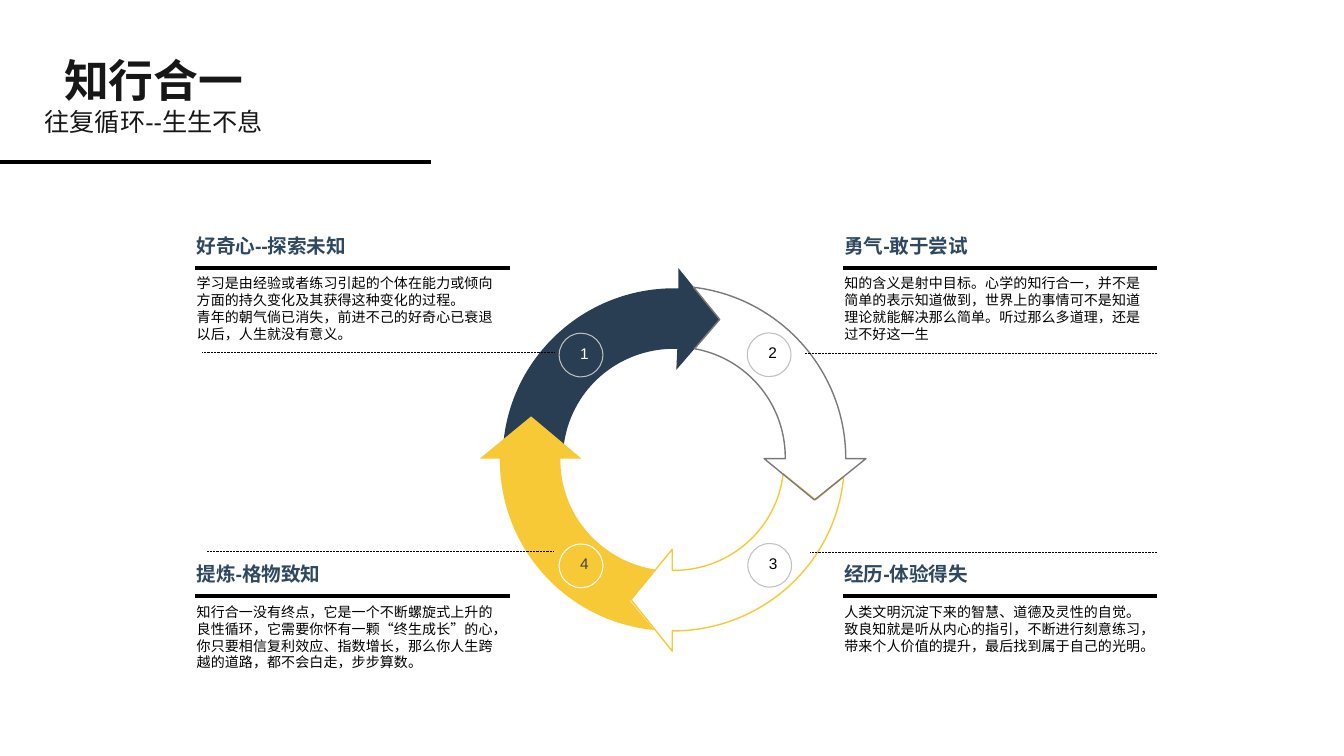
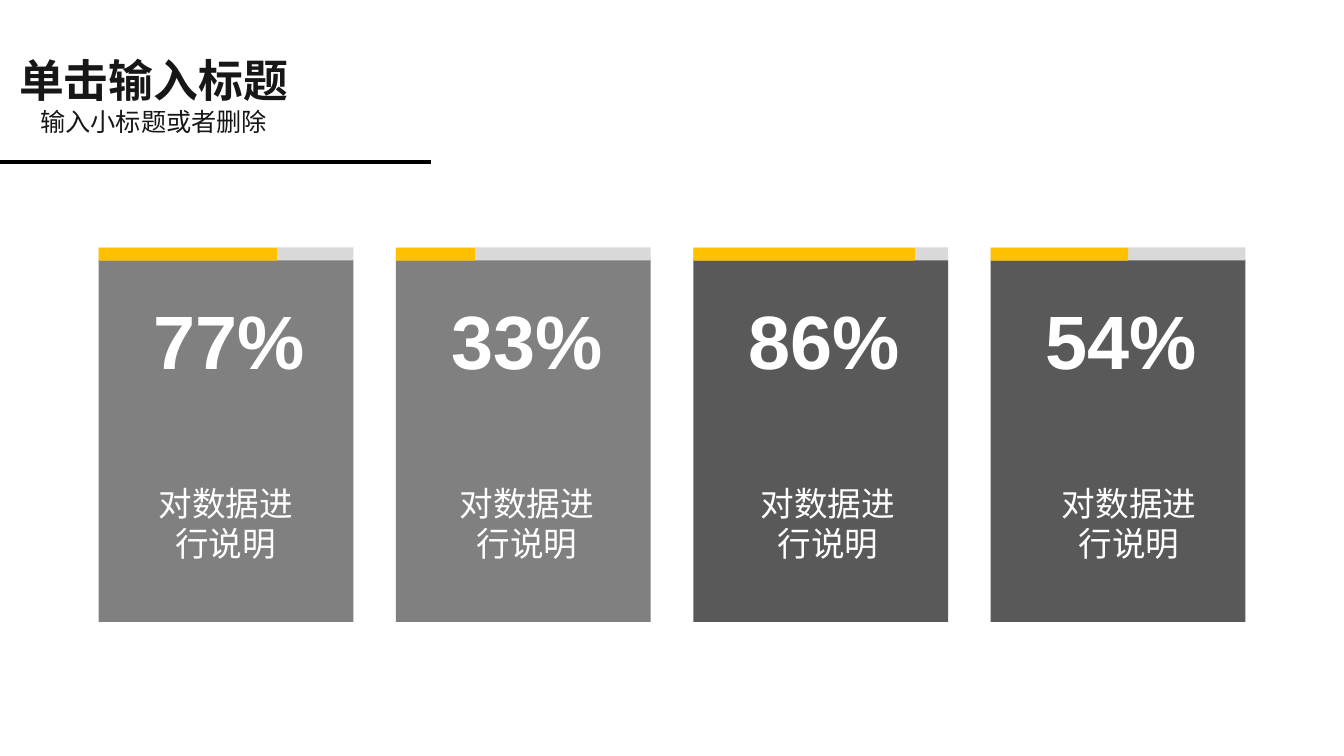
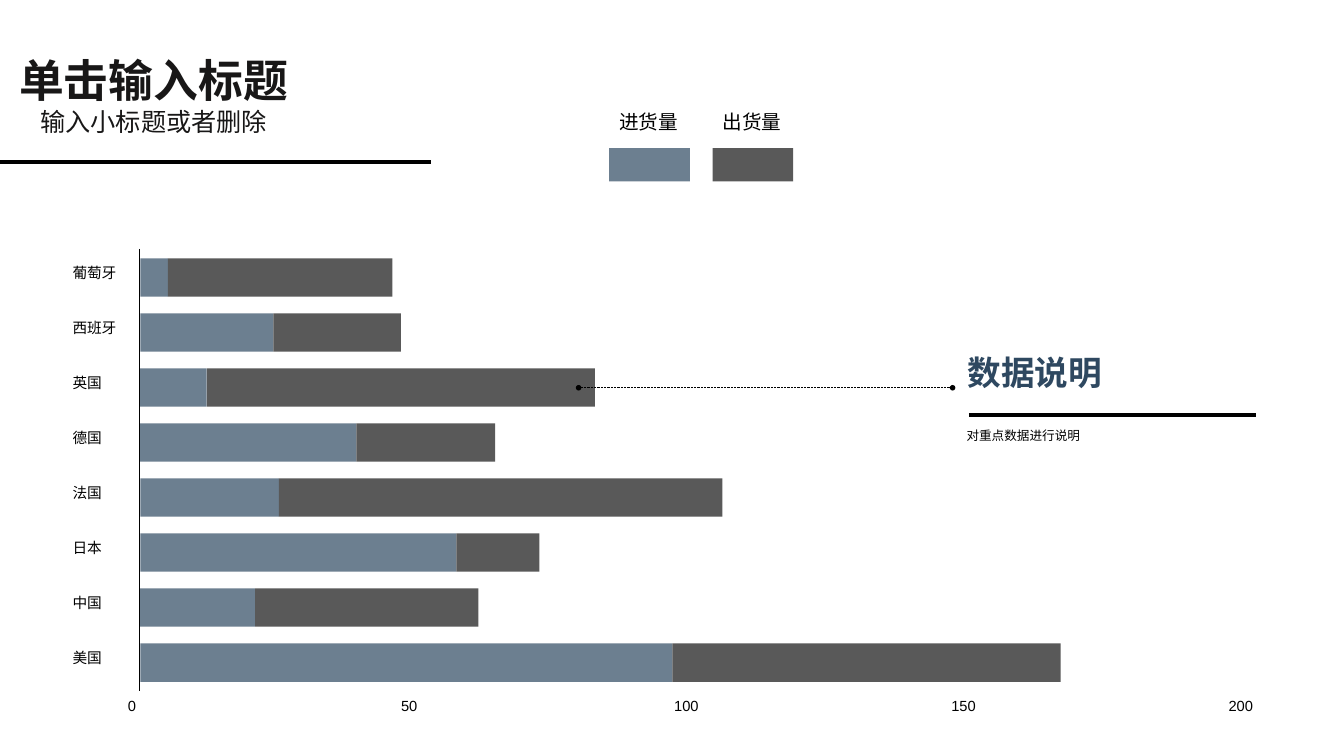
from lxml import etree
from pptx import Presentation
from pptx.dml.color import RGBColor
from pptx.enum.dml import MSO_LINE
from pptx.enum.lang import MSO_LANGUAGE_ID
from pptx.enum.shapes import MSO_CONNECTOR, MSO_SHAPE
from pptx.enum.text import MSO_ANCHOR, MSO_AUTO_SIZE, PP_ALIGN
from pptx.oxml.ns import qn
from pptx.util import Pt

RECT, OVAL = MSO_SHAPE.RECTANGLE, MSO_SHAPE.OVAL
STRAIGHT = MSO_CONNECTOR.STRAIGHT
DOTTED = MSO_LINE.ROUND_DOT
CENTER, LEFT = PP_ALIGN.CENTER, PP_ALIGN.LEFT
TOP, MIDDLE = MSO_ANCHOR.TOP, MSO_ANCHOR.MIDDLE
GROW, FIXED = MSO_AUTO_SIZE.SHAPE_TO_FIT_TEXT, MSO_AUTO_SIZE.NONE
CHINESE = MSO_LANGUAGE_ID.SIMPLIFIED_CHINESE

FONT = "Arial"
COLORS = {
    "title": "181717", "black": "000000", "white": "FFFFFF", "heading": "2E4860",
    "navy": "293D53", "yellow": "F8C937", "outline": "7A7A7A", "ring": "C0C0C0",
    "charcoal": "444444", "gray": "808080", "dark": "595959", "track": "D9D9D9",
    "amber": "FFC000", "slate": "6C7F90",
}

CYCLE_ARROWS = [
    ("navy", None, [
        (484.6, 191.5), (514.1, 228.2), (483.1, 264.2), (483.8, 249.1), (481.7, 249.1),
        (440.6, 249.1, 406.8, 279.4, 402.5, 319.7), (359.3, 319.7),
        (363.6, 255.6, 416.9, 205.9, 481.7, 205.9), (484.6, 205.9)]),
    ("yellow", None, [
        (379.4, 297.4), (415.4, 327.6), (400.3, 327.6), (400.3, 329.8),
        (401, 369.4, 430.6, 401, 468, 406.8), (450, 429.1), (467.3, 450),
        (406.1, 444.2, 357.8, 393.1, 357.1, 329.8), (357.1, 327.6), (342.7, 327.6)]),
    (None, "yellow", [
        (559.4, 338.4), (582.5, 357.1), (602.6, 340.6),
        (596.9, 401.8, 545.8, 449.3, 483.1, 450.7), (480.2, 450.7), (480.2, 465.1),
        (450.7, 428.4), (480.2, 392.4), (480.2, 407.5), (482.4, 407.5),
        (522.7, 406.8, 555.1, 376.6, 559.4, 338.4)]),
    (None, "outline", [
        (495.4, 205.2), (555.8, 212.4, 602.6, 262.8, 604.1, 324.7), (604.1, 327.6),
        (618.5, 327.6), (581.8, 357.1), (545.8, 327.6), (560.9, 327.6), (560.9, 325.4),
        (560.2, 287.3, 532.8, 255.6, 496.1, 249.1), (514.1, 228.2)]),
]
BADGES = [
    ("1", 399.4, 238, "ring", "white"),
    ("2", 533.8, 237.8, "ring", "black"),
    ("3", 534.2, 388.2, "ring", "black"),
    ("4", 399.4, 388.6, "white", "charcoal"),
]
PANELS = [
    (133.4, 163.4, "好奇心--探索未知",
     "学习是由经验或者练习引起的个体在能力或倾向方面的持久变化及其获得这种变化的过程。\n"
     "青年的朝气倘已消失，前进不己的好奇心已衰退以后，人生就没有意义。", (396, 144, 252)),
    (596, 163.4, "勇气-敢于尝试",
     "知的含义是射中目标。心学的知行合一，并不是简单的表示知道做到，世界上的事情可不是"
     "知道理论就能解决那么简单。听过那么多道理，还是过不好这一生", (826.4, 574.6, 252.5)),
    (133.4, 398, "提炼-格物致知",
     "知行合一没有终点，它是一个不断螺旋式上升的良性循环，它需要你怀有一颗“终生成长”的心，"
     "你只要相信复利效应、指数增长，那么你人生跨越的道路，都不会白走，步步算数。",
     (395.3, 147.6, 393.8)),
    (596, 398, "经历-体验得失",
     "人类文明沉淀下来的智慧、道德及灵性的自觉。致良知就是听从内心的指引，不断进行刻意练习，"
     "带来个人价值的提升，最后找到属于自己的光明。", (826.4, 578.5, 394.6)),
]
CARDS = [("77%", 0.7, "gray"), ("33%", 0.31, "gray"),
         ("86%", 0.87, "dark"), ("54%", 0.54, "dark")]
LEGEND = [("进货量", "slate"), ("出货量", "dark")]
TRADE = [("葡萄牙", 5, 40.5), ("西班牙", 24, 23), ("英国", 12, 70), ("德国", 39, 25),
         ("法国", 25, 80), ("日本", 57, 15), ("中国", 20.7, 40.3), ("美国", 96, 70)]
TICKS = range(0, 201, 50)
UNIT = 3.96


def rgb(name):
    return RGBColor.from_string(COLORS[name])


def write(p, text, size=10, color="black", bold=False, align=LEFT, spacing=None):
    p.alignment = align
    r = p.add_run()
    r.text = text
    font = r.font
    font.name, font.size, font.bold = FONT, Pt(size), bold
    font.color.rgb = rgb(color)
    font.language_id = CHINESE
    if spacing is not None:
        r._r.get_or_add_rPr().set("spc", str(spacing))


def add_text(s, text, x, y, w, h, wrap=True, **fmt):
    tf = s.shapes.add_textbox(Pt(x), Pt(y), Pt(w), Pt(h)).text_frame
    tf.word_wrap = wrap
    tf.auto_size = GROW
    for i, line in enumerate(text.split("\n")):
        write(tf.add_paragraph() if i else tf.paragraphs[0], line, **fmt)


def paint(sp, fill=None, line=None, width=1):
    sp.shadow.inherit = False
    if fill:
        sp.fill.solid()
        sp.fill.fore_color.rgb = rgb(fill)
    else:
        sp.fill.background()
    if line:
        sp.line.color.rgb = rgb(line)
        sp.line.width = Pt(width)
    else:
        sp.line.fill.background()


def add_block(s, kind, x, y, w, h, **style):
    sp = s.shapes.add_shape(kind, Pt(x), Pt(y), Pt(w), Pt(h))
    paint(sp, **style)
    return sp


def add_line(s, x1, y1, x2, y2, width=3, dash=None, dots=False):
    cx = s.shapes.add_connector(STRAIGHT, Pt(x1), Pt(y1), Pt(x2), Pt(y2))
    cx.line.color.rgb = rgb("black")
    cx.line.width = Pt(width)
    if dash:
        cx.line.dash_style = dash
    if dots:
        for end in ("a:headEnd", "a:tailEnd"):
            etree.SubElement(cx.line._get_or_add_ln(), qn(end), type="oval", w="sm", len="sm")
    etree.SubElement(cx._element.spPr, qn("a:effectLst"))


def add_outline(s, segments, **style):
    corners = [(Pt(segment[-2]), Pt(segment[-1])) for segment in segments]
    builder = s.shapes.build_freeform(*corners[0])
    builder.add_line_segments(corners[1:], close=True)
    sp = builder.convert_to_shape()
    sides = list(sp._element.iter(qn("a:lnTo")))
    for side, segment in zip(sides, segments[1:]):
        if len(segment) == 6:
            side.tag = qn("a:cubicBezTo")
            for i in (0, 2):
                control = etree.Element(qn("a:pt"), x=str(Pt(segment[i]) - sp.left),
                                        y=str(Pt(segment[i + 1]) - sp.top))
                side.insert(i // 2, control)
    paint(sp, **style)


def add_badge(s, number, x, y, line, color):
    sp = add_block(s, OVAL, x, y, 31.2, 31.2, line=line, width=0.75)
    tf = sp.text_frame
    tf.margin_left, tf.margin_bottom = Pt(5), Pt(3)
    tf.margin_right = tf.margin_top = 0
    tf.vertical_anchor = MIDDLE
    write(tf.paragraphs[0], number, size=11, color=color, align=CENTER)


def add_panel(s, x, y, heading, body, leader):
    start, end, leader_y = leader
    add_text(s, heading, x, y, 154.8, 24.5, size=14, color="heading", bold=True, spacing=-20)
    add_line(s, x + 6.2, y + 28, x + 230.8, y + 28)
    add_text(s, body, x, y + 29.5, 231.1, 67.7, spacing=10)
    add_line(s, start, leader_y, end, leader_y, width=0.5, dash=DOTTED)


def new_slide(prs, title, subtitle):
    s = prs.slides.add_slide(prs.slide_layouts[5])
    sp = s.shapes.title
    sp.left, sp.top, sp.width, sp.height = Pt(0), Pt(33.8), Pt(219.6), Pt(67.7)
    tf = sp.text_frame
    tf.word_wrap = True
    tf.auto_size = FIXED
    tf.vertical_anchor = TOP
    write(tf.paragraphs[0], title, size=32, color="title", bold=True, align=CENTER)
    write(tf.add_paragraph(), subtitle, size=18, color="title", align=CENTER)
    add_line(s, 0, 115.9, 308.2, 115.9)
    return s


def add_trade_bars(s):
    left = 100.2
    add_line(s, 99.4, 177.8, 99.4, 493.9, width=0.5)
    for i, (country, *amounts) in enumerate(TRADE):
        y = 184.5 + 39.3 * i
        add_text(s, country, 44.8, y + 0.5, 55.4, 20.2, size=10.5)
        x = left
        for amount, (_, color) in zip(amounts, LEGEND):
            add_block(s, RECT, x, y, amount * UNIT, 27.4, fill=color)
            x += amount * UNIT
    for tick in TICKS:
        digits = len(str(tick))
        add_text(s, str(tick), 87.2 + tick * UNIT - 2.9 * digits, 494,
                 17.3 + 11.5 * digits, 27.4, size=10.5)


def cycle_slide(prs):
    s = new_slide(prs, "知行合一", "往复循环--生生不息")
    for fill, line, segments in CYCLE_ARROWS:
        add_outline(s, segments, fill=fill, line=line)
    for badge in BADGES:
        add_badge(s, *badge)
    for panel in PANELS:
        add_panel(s, *panel)


def cards_slide(prs):
    s = new_slide(prs, "单击输入标题", "输入小标题或者删除")
    width = 182
    for i, (percent, share, color) in enumerate(CARDS):
        x = 70.4 + 212.4 * i
        add_block(s, RECT, x, 185.2, width, 259, fill=color)
        add_block(s, RECT, x, 176.7, width, 9.4, fill="track")
        add_block(s, RECT, x, 177, width * share, 9.2, fill="amber")
        add_text(s, percent, x + 32.4, 206.3, 123.8, 72.7, wrap=False,
                 size=54, color="white", bold=True)
        add_text(s, "对数据进行说明", 98.6 + 215.1 * i, 341.3, 125.3, 65.5,
                 size=24, color="white", align=CENTER)


def chart_slide(prs):
    s = new_slide(prs, "单击输入标题", "输入小标题或者删除")
    add_trade_bars(s)
    for i, (name, color) in enumerate(LEGEND):
        x = 435.2 + 73.8 * i
        add_text(s, name, x, 74.9, 57.6, 24.5, size=14)
        add_block(s, RECT, x, 105.8, 57.6, 23.8, fill=color)
    add_line(s, 680.4, 277, 413.3, 277, width=0.5, dash=DOTTED, dots=True)
    add_text(s, "数据说明", 684, 247.7, 149.8, 36, size=24, color="heading", bold=True)
    add_line(s, 692, 296.5, 897, 296.5)
    add_text(s, "对重点数据进行说明", 683.3, 302.4, 224.6, 18, size=9)


def main():
    prs = Presentation()
    prs.slide_width, prs.slide_height = Pt(960), Pt(540)
    cycle_slide(prs)
    cards_slide(prs)
    chart_slide(prs)
    prs.save("out.pptx")


if __name__ == "__main__":
    main()
